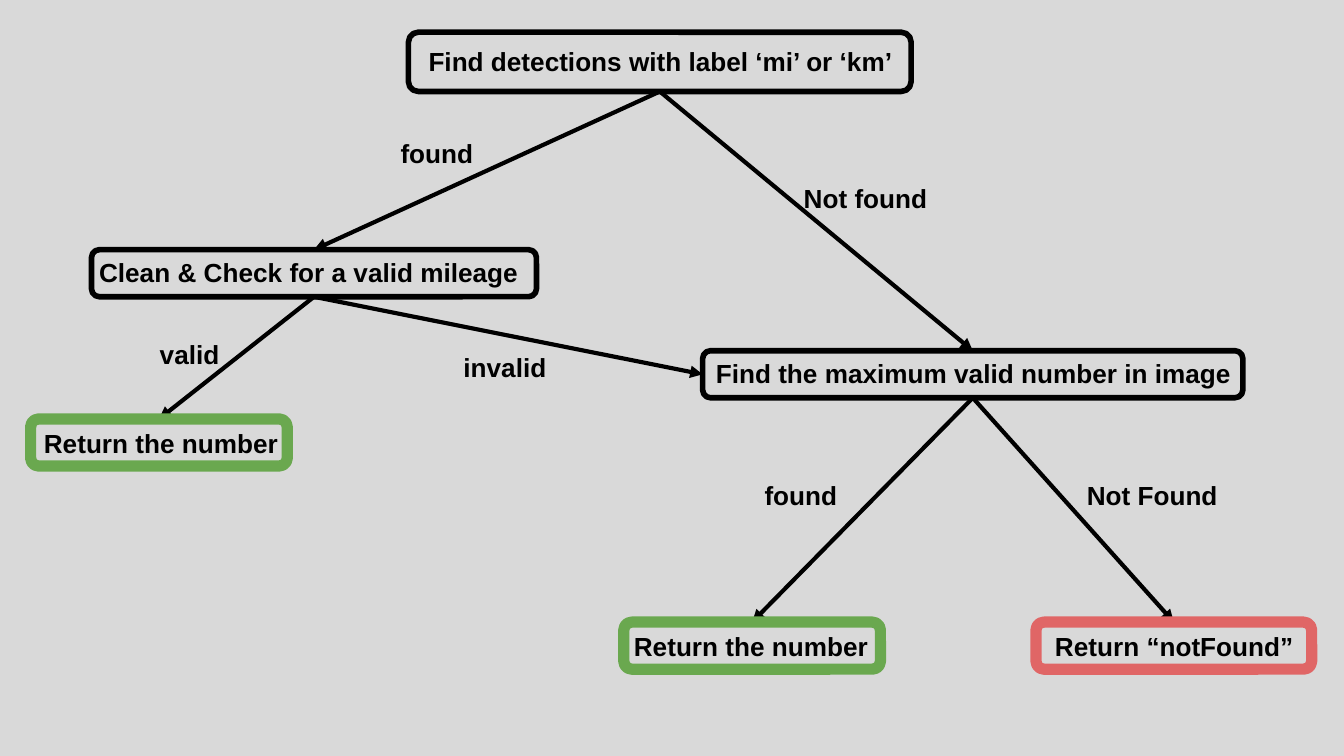
"""Build a decision tree for reading a mileage from detections."""
from lxml import etree
from pptx import Presentation, util as u
from pptx.dml.color import RGBColor
from pptx.enum import shapes, text
from pptx.oxml import ns

BLACK = RGBColor(0x00, 0x00, 0x00)
GREY = RGBColor(0xD9, 0xD9, 0xD9)
GREEN = RGBColor(0x6A, 0xA8, 0x4F)
RED = RGBColor(0xE0, 0x66, 0x66)

LEFT, CENTER = text.PP_ALIGN.LEFT, text.PP_ALIGN.CENTER
TOP_SITE, LEFT_SITE, BOTTOM_SITE = 0, 1, 2
LABEL_HEIGHT = 1.12
STEP_HEIGHT = 0.89
INSET = u.Cm(0.25)

LABELS = {
    "root": ("Find detections with label ‘mi’ or ‘km’", 7.85, 0.61, 9.6, LEFT),
    "root found": ("found", 7.32, 2.34, 2.18, LEFT),
    "root not found": ("Not found", 14.94, 3.2, 4.14, LEFT),
    "clean": ("Clean & Check for a valid mileage ", 1.5, 4.6, 8.81, CENTER),
    "valid": ("valid", 2.77, 6.15, 1.8, LEFT),
    "invalid": ("invalid", 8.51, 6.4, 2.18, LEFT),
    "cleaned": ("Return the number", 0.58, 7.82, 5.77, LEFT),
    "maximum": ("Find the maximum valid number in image", 13.28, 6.5, 10.67, LEFT),
    "maximum found": ("found", 14.2, 8.81, 2.18, LEFT),
    "maximum not found": ("Not Found", 20.29, 8.81, 3.2, LEFT),
    "largest": ("Return the number", 11.53, 11.66, 5.33, CENTER),
    "missing": ("Return “notFound”", 19.53, 11.66, 5.33, CENTER),
}
BOXES = {
    "root": (7.72, 0.61, 9.5, LABEL_HEIGHT, BLACK, 3),
    "clean": (1.73, 4.72, 8.41, STEP_HEIGHT, BLACK, 3),
    "maximum": (13.28, 6.63, 10.21, STEP_HEIGHT, BLACK, 3),
    "cleaned": (0.58, 7.92, 4.85, STEP_HEIGHT, GREEN, 6),
    "largest": (11.79, 11.76, 4.85, STEP_HEIGHT, GREEN, 6),
    "missing": (19.58, 11.76, 5.21, STEP_HEIGHT, RED, 6),
}
BRANCHES = [
    ("root", "clean", TOP_SITE),
    ("root", "maximum", TOP_SITE),
    ("clean", "cleaned", TOP_SITE),
    ("clean", "maximum", LEFT_SITE),
    ("maximum", "largest", TOP_SITE),
    ("maximum", "missing", TOP_SITE),
]


class TreeSlide:
    """Hold the shared style and the slide being drawn."""

    font = {"name": "Arial", "size": u.Pt(14), "bold": True}
    frame = {
        "margin_left": INSET, "margin_top": INSET,
        "margin_right": INSET, "margin_bottom": INSET,
        "word_wrap": True, "auto_size": text.MSO_AUTO_SIZE.SHAPE_TO_FIT_TEXT,
    }

    def __init__(self, slide):
        self.slide = slide
        slide.background.fill.solid()
        slide.background.fill.fore_color.rgb = GREY

    def apply(self, target, values):
        """Set each named value on the target."""
        for name, value in values.items():
            setattr(target, name, value)

    def outline(self, shape, color, points):
        """Give a shape a line of one colour and width."""
        shape.line.color.rgb = color
        shape.line.width = u.Pt(points)

    def label(self, wording, left, top, width, align):
        """Add bold wording in a text box."""
        area = self.slide.shapes.add_textbox(
            u.Cm(left), u.Cm(top), u.Cm(width), u.Cm(LABEL_HEIGHT))
        self.apply(area.text_frame, self.frame)
        paragraph = area.text_frame.paragraphs[0]
        paragraph.alignment = align
        run = paragraph.add_run()
        run.text = wording
        self.apply(run.font, self.font)
        run.font.color.rgb = BLACK

    def box(self, left, top, width, height, color, points):
        """Add an unfilled rounded box and return it."""
        box = self.slide.shapes.add_shape(
            shapes.MSO_SHAPE.ROUNDED_RECTANGLE,
            u.Cm(left), u.Cm(top), u.Cm(width), u.Cm(height))
        box.shadow.inherit = False
        box.fill.background()
        self.outline(box, color, points)
        return box

    def arrow(self):
        """Add an arrow that is ready to be joined to boxes."""
        arrow = self.slide.shapes.add_connector(
            shapes.MSO_CONNECTOR.STRAIGHT, 0, 0, 0, 0)
        self.outline(arrow, BLACK, 2.25)
        line = arrow.line._get_or_add_ln()
        etree.SubElement(line, ns.qn("a:tailEnd"), type="triangle")
        etree.SubElement(arrow._element.spPr, ns.qn("a:effectLst"))
        return arrow

    def join(self, arrow, parent, child, site):
        """Run an arrow from the parent's foot to a site of the child."""
        arrow.begin_connect(parent, BOTTOM_SITE)
        arrow.end_connect(child, site)


def main():
    """Draw the tree and save it."""
    deck = Presentation()
    deck.slide_width, deck.slide_height = u.Cm(25.4), u.Cm(14.29)
    tree = TreeSlide(deck.slides.add_slide(deck.slide_layouts[6]))
    arrows = [tree.arrow() for _ in BRANCHES]
    for label in LABELS.values():
        tree.label(*label)
    steps = {name: tree.box(*box) for name, box in BOXES.items()}
    for arrow, (parent, child, site) in zip(arrows, BRANCHES):
        tree.join(arrow, steps[parent], steps[child], site)
    deck.save("out.pptx")


if __name__ == "__main__":
    main()
